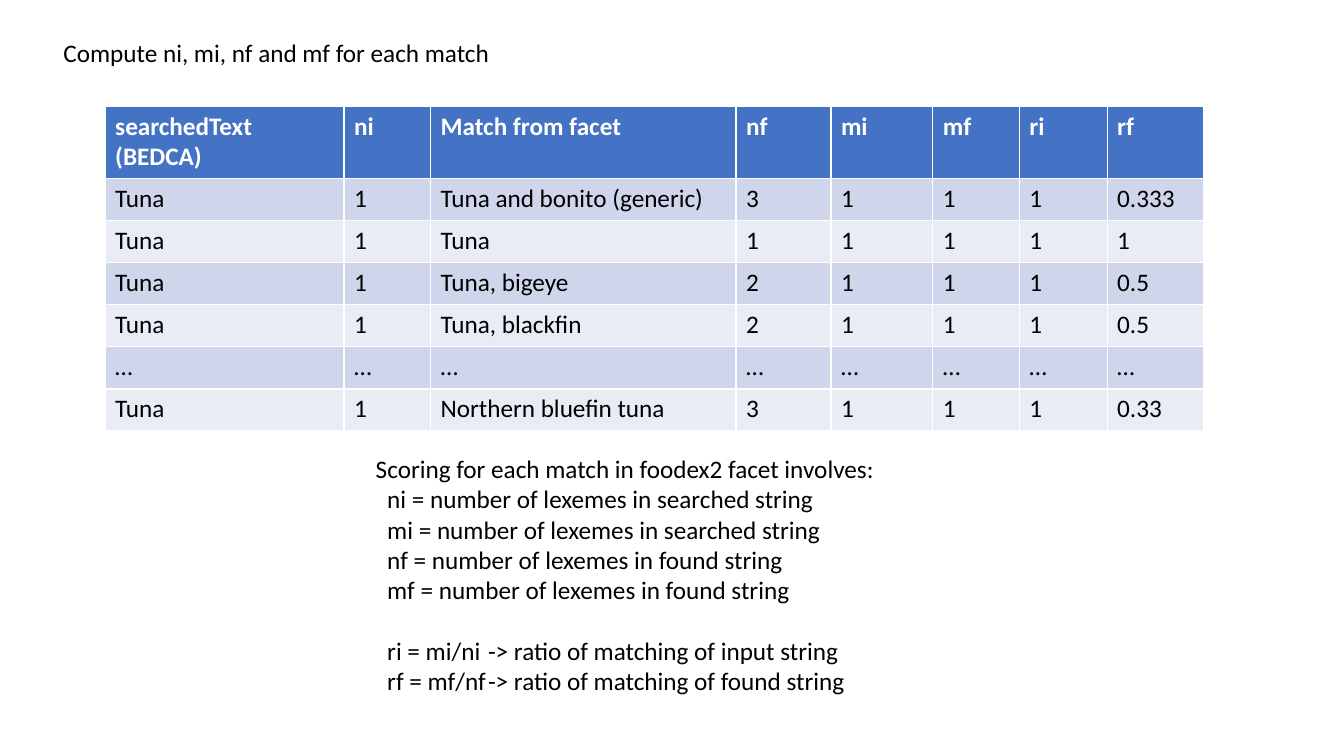
from dataclasses import dataclass

from lxml.etree import SubElement
from pptx import Presentation
from pptx.dml.color import RGBColor
from pptx.oxml.ns import qn
from pptx.util import Cm, Pt


@dataclass(frozen=True)
class Theme:
    """Colours and type of the slide."""

    font: str = "Calibri"
    size: int = 18
    text: str = "000000"
    header_text: str = "FFFFFF"
    header_fill: str = "4472C4"
    band_fills: tuple = ("CFD5EA", "E9EBF5")


THEME = Theme()
TITLE = "Compute ni, mi, nf and mf for each match"
HEADERS = ("searchedText\v(BEDCA)", "ni", "Match from facet", "nf", "mi", "mf", "ri", "rf")
MATCHES = (
    ("Tuna", "1", "Tuna and bonito (generic)", "3", "1", "1", "1", "0.333"),
    ("Tuna", "1", "Tuna", "1", "1", "1", "1", "1"),
    ("Tuna", "1", "Tuna, bigeye", "2", "1", "1", "1", "0.5"),
    ("Tuna", "1", "Tuna, blackfin", "2", "1", "1", "1", "0.5"),
    ("…",) * len(HEADERS),
    ("Tuna", "1", "Northern bluefin tuna", "3", "1", "1", "1", "0.33"),
)
COLUMN_WIDTHS = (6.02, 2.18, 7.7, 2.39, 2.57, 2.18, 2.21, 2.44)
HEADER_HEIGHT = 1.83
ROW_HEIGHT = 1.06
SCORING_HEADING = "Scoring for each match in foodex2 facet involves:"
COUNTS = (
    "ni = number of lexemes in searched string",
    "mi = number of lexemes in searched string",
    "nf = number of lexemes in found string",
    "mf = number of lexemes in found string",
)
RATIOS = (
    "ri = mi/ni\t-> ratio of matching of input string",
    "rf = mf/nf\t-> ratio of matching of found string",
)
SCORING_INDENT = 0.29
ARROW_TAB = 3.12


def format_runs(paragraph, color, bold=False):
    """Apply the theme font to every run of a paragraph."""
    for run in paragraph.runs:
        run.font.name = THEME.font
        run.font.size = Pt(THEME.size)
        run.font.bold = bold
        run.font.color.rgb = RGBColor.from_string(color)


def add_text(slide, left, top, width, height, lines):
    """Add a text box with one paragraph per line and return its paragraphs."""
    shape = slide.shapes.add_textbox(Cm(left), Cm(top), Cm(width), Cm(height))
    text_frame = shape.text_frame
    text_frame.word_wrap = True
    text_frame.text = "\n".join(lines)
    for paragraph in text_frame.paragraphs:
        format_runs(paragraph, THEME.text)
    return text_frame.paragraphs


def add_match_table(slide, left, top):
    """Add the table of matches with a header row and banded body."""
    rows = (HEADERS,) + MATCHES
    height = HEADER_HEIGHT + ROW_HEIGHT * len(MATCHES)
    table = slide.shapes.add_table(
        len(rows), len(HEADERS), Cm(left), Cm(top), Cm(sum(COLUMN_WIDTHS)), Cm(height)
    ).table
    for column, width in zip(table.columns, COLUMN_WIDTHS):
        column.width = Cm(width)
    for row_index, values in enumerate(rows):
        is_header = row_index == 0
        table.rows[row_index].height = Cm(HEADER_HEIGHT if is_header else ROW_HEIGHT)
        fill = THEME.header_fill if is_header else THEME.band_fills[(row_index - 1) % 2]
        color = THEME.header_text if is_header else THEME.text
        for column_index, value in enumerate(values):
            cell = table.cell(row_index, column_index)
            cell.fill.solid()
            cell.fill.fore_color.rgb = RGBColor.from_string(fill)
            paragraph = cell.text_frame.paragraphs[0]
            paragraph.text = value
            format_runs(paragraph, color, is_header)


def add_scoring(slide, left, top, width, height):
    """Add the scoring definitions, indented below their heading."""
    lines = (SCORING_HEADING,) + COUNTS + RATIOS
    paragraphs = add_text(slide, left, top, width, height, lines)
    ratios = paragraphs[-len(RATIOS):]
    ratios[0].space_before = Pt(THEME.size * 1.2)
    for paragraph in paragraphs[1:]:
        properties = paragraph._p.get_or_add_pPr()
        properties.set("marL", str(Cm(SCORING_INDENT)))
        properties.set("indent", "0")
    for paragraph in ratios:
        tabs = SubElement(paragraph._p.get_or_add_pPr(), qn("a:tabLst"))
        SubElement(tabs, qn("a:tab"), pos=str(Cm(ARROW_TAB)), algn="l")


def main():
    """Build the slide and save it."""
    presentation = Presentation()
    presentation.slide_width = Cm(33.87)
    presentation.slide_height = Cm(19.05)
    slide = presentation.slides.add_slide(presentation.slide_layouts[6])
    add_text(slide, 1.35, 0.81, 13.67, 1.03, (TITLE,))
    add_match_table(slide, 2.65, 2.67)
    add_scoring(slide, 9.22, 11.3, 16.94, 6.4)
    presentation.save("out.pptx")


if __name__ == "__main__":
    main()
